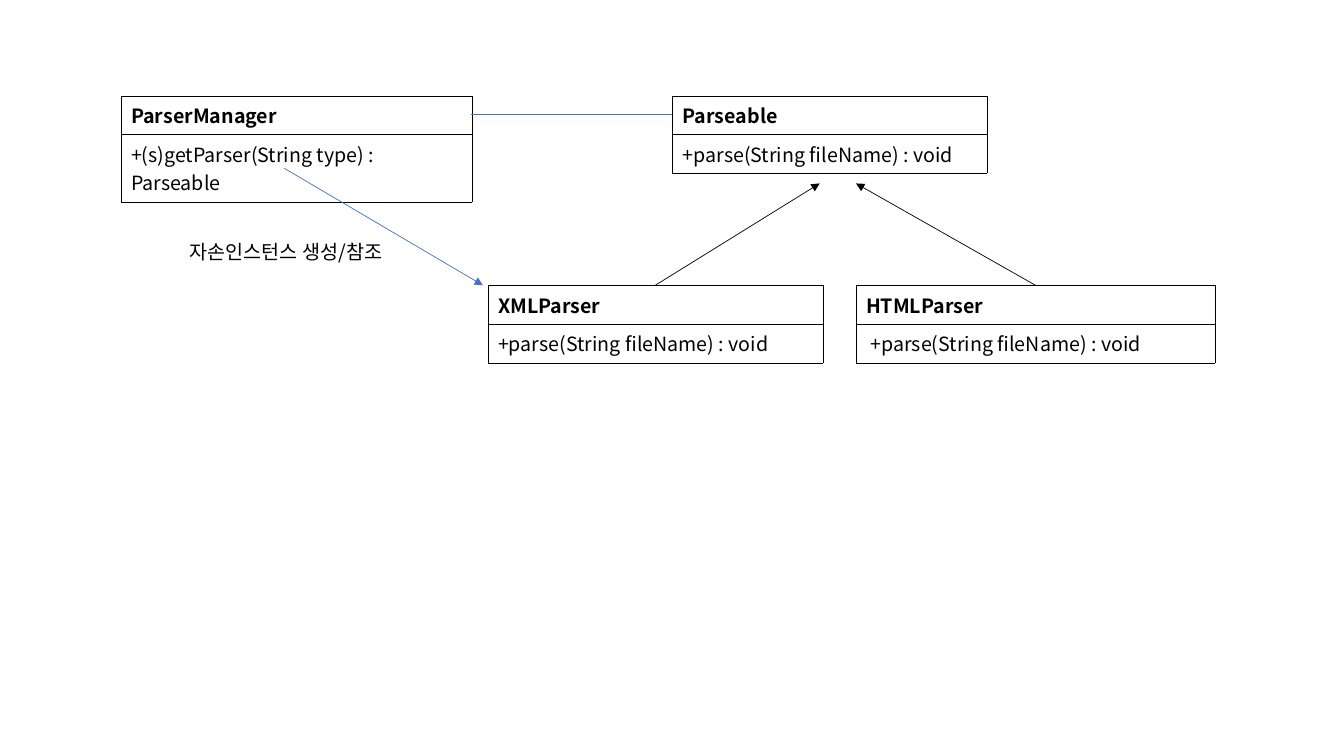
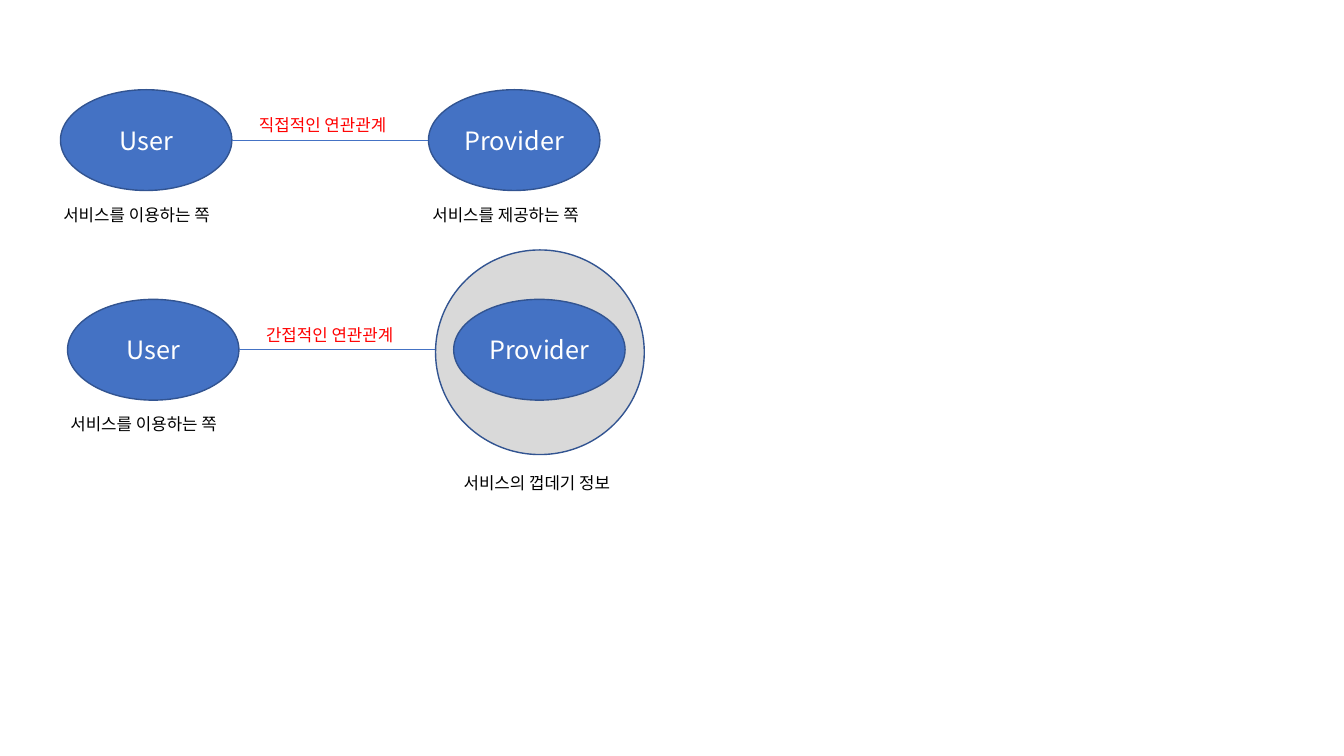
from dataclasses import dataclass

from lxml.etree import SubElement
from pptx import Presentation
from pptx.dml.color import RGBColor
from pptx.enum.shapes import MSO_CONNECTOR, MSO_SHAPE
from pptx.enum.text import MSO_ANCHOR, MSO_AUTO_SIZE, PP_ALIGN
from pptx.oxml.ns import qn
from pptx.slide import Slide
from pptx.text.text import TextFrame
from pptx.util import Inches, Pt

FONT = "Noto Sans CJK KR"
BLACK = RGBColor(0x00, 0x00, 0x00)
WHITE = RGBColor(0xFF, 0xFF, 0xFF)
BLUE = RGBColor(0x44, 0x72, 0xC4)
NAVY = RGBColor(0x32, 0x54, 0x91)
GREY = RGBColor(0xD9, 0xD9, 0xD9)
RED = RGBColor(0xFF, 0x00, 0x00)

BORDER_SIDES = ("a:lnL", "a:lnR", "a:lnT", "a:lnB")
BORDER_WIDTH = Pt(0.25)
ROLE_WIDTH, ROLE_HEIGHT = 1.7, 1.0


@dataclass(frozen=True)
class ClassBox:
    name: str
    method: str
    left: float
    top: float
    width: float
    row_height: float


@dataclass(frozen=True)
class Link:
    start: tuple[float, float]
    end: tuple[float, float]
    color: RGBColor
    arrow: bool = False


@dataclass(frozen=True)
class Caption:
    text: str
    left: float
    top: float
    width: float = 1.84
    height: float = 0.3
    size: float = 12
    color: RGBColor = BLACK


@dataclass(frozen=True)
class Relation:
    left: float
    top: float
    label: str


CLASSES = [
    ClassBox("Parseable", "+parse(String fileName) : void", 6.67, 0.95, 3.12, 0.36),
    ClassBox("XMLParser", "+parse(String fileName) : void", 4.84, 2.83, 3.32, 0.38),
    ClassBox("HTMLParser", " +parse(String fileName) : void", 8.49, 2.83, 3.56, 0.36),
    ClassBox("ParserManager", "+(s)getParser(String type) : Parseable", 1.2, 0.95, 3.48, 0.38),
]
CLASS_LINKS = [
    Link((6.5, 2.83), (8.13, 1.82), BLACK, arrow=True),
    Link((10.27, 2.83), (8.49, 1.82), BLACK, arrow=True),
    Link((6.67, 1.13), (4.67, 1.13), BLUE),
    Link((2.82, 1.67), (4.79, 2.83), BLUE, arrow=True),
]
CREATION = Caption("자손인스턴스 생성/참조", 1.78, 2.33, 2.31, 0.34, 14)

DIRECT = Relation(0.6, 0.89, "직접적인 연관관계")
INDIRECT = Relation(0.67, 2.97, "간접적인 연관관계")
PROVIDER_CAPTIONS = [
    Caption("서비스를 제공하는 쪽", 4.19, 1.98),
    Caption("서비스의 껍데기 정보", 4.5, 4.64),
]


def write(frame: TextFrame, text: str, *, size: float, color: RGBColor = BLACK,
          bold: bool = False, align: PP_ALIGN = PP_ALIGN.LEFT) -> None:
    paragraph = frame.paragraphs[0]
    paragraph.alignment = align
    run = paragraph.add_run()
    run.text = text
    font = run.font
    font.name = FONT
    font.size = Pt(size)
    font.bold = bold
    font.color.rgb = color
    SubElement(run._r.get_or_add_rPr(), qn("a:ea"), typeface=FONT)


def draw_class(slide: Slide, box: ClassBox) -> None:
    members = (box.name, box.method)
    table = slide.shapes.add_table(
        len(members), 1, Inches(box.left), Inches(box.top),
        Inches(box.width), Inches(box.row_height * len(members))).table
    table.first_row = False
    table.horz_banding = False
    for index, member in enumerate(members):
        table.rows[index].height = Inches(box.row_height)
        cell = table.cell(index, 0)
        write(cell.text_frame, member, size=14, bold=index == 0)
        properties = cell._tc.get_or_add_tcPr()
        for side in BORDER_SIDES:
            border = SubElement(properties, qn(side), w=str(int(BORDER_WIDTH)))
            fill = SubElement(border, qn("a:solidFill"))
            SubElement(fill, qn("a:srgbClr"), val=str(BLACK))
        cell.fill.solid()
        cell.fill.fore_color.rgb = WHITE


def draw_link(slide: Slide, link: Link) -> None:
    connector = slide.shapes.add_connector(
        MSO_CONNECTOR.STRAIGHT, *map(Inches, link.start + link.end))
    connector.line.color.rgb = link.color
    connector.line.width = Pt(0.5)
    if link.arrow:
        SubElement(connector.line._get_or_add_ln(), qn("a:tailEnd"), type="triangle")
    SubElement(connector._element.spPr, qn("a:effectLst"))


def draw_caption(slide: Slide, caption: Caption) -> None:
    frame = slide.shapes.add_textbox(
        Inches(caption.left), Inches(caption.top),
        Inches(caption.width), Inches(caption.height)).text_frame
    frame.word_wrap = False
    frame.auto_size = MSO_AUTO_SIZE.SHAPE_TO_FIT_TEXT
    write(frame, caption.text, size=caption.size, color=caption.color)


def draw_ellipse(slide: Slide, left: float, top: float, *, width: float = ROLE_WIDTH,
                 height: float = ROLE_HEIGHT, fill: RGBColor = BLUE, text: str = "") -> None:
    ellipse = slide.shapes.add_shape(
        MSO_SHAPE.OVAL, Inches(left), Inches(top), Inches(width), Inches(height))
    ellipse.shadow.inherit = False
    ellipse.fill.solid()
    ellipse.fill.fore_color.rgb = fill
    ellipse.line.color.rgb = NAVY
    ellipse.line.width = Pt(1)
    if text:
        ellipse.text_frame.vertical_anchor = MSO_ANCHOR.MIDDLE
        write(ellipse.text_frame, text, size=18, color=WHITE, align=PP_ALIGN.CENTER)


def draw_relation(slide: Slide, relation: Relation) -> None:
    left, top = relation.left, relation.top
    middle = top + ROLE_HEIGHT / 2
    draw_ellipse(slide, left, top, text="User")
    draw_caption(slide, Caption("서비스를 이용하는 쪽", left - 0.07, top + 1.09))
    draw_link(slide, Link((left + ROLE_WIDTH, middle), (left + 3.65, middle), BLUE))
    draw_caption(slide, Caption(relation.label, left + 1.87, top + 0.2, width=1.61, color=RED))


def build_class_diagram(slide: Slide) -> None:
    for box in CLASSES:
        draw_class(slide, box)
    for link in CLASS_LINKS:
        draw_link(slide, link)
    draw_caption(slide, CREATION)


def build_relations(slide: Slide) -> None:
    for relation in (DIRECT, INDIRECT):
        draw_relation(slide, relation)
    for caption in PROVIDER_CAPTIONS:
        draw_caption(slide, caption)
    draw_ellipse(slide, 4.32, 2.48, width=2.07, height=2.03, fill=GREY)
    draw_ellipse(slide, 4.25, DIRECT.top, text="Provider")
    draw_ellipse(slide, 4.5, INDIRECT.top, text="Provider")


presentation = Presentation()
presentation.slide_width = Inches(13.33)
presentation.slide_height = Inches(7.5)
blank_layout = presentation.slide_layouts[6]
for build in (build_class_diagram, build_relations):
    build(presentation.slides.add_slide(blank_layout))
presentation.save("out.pptx")
